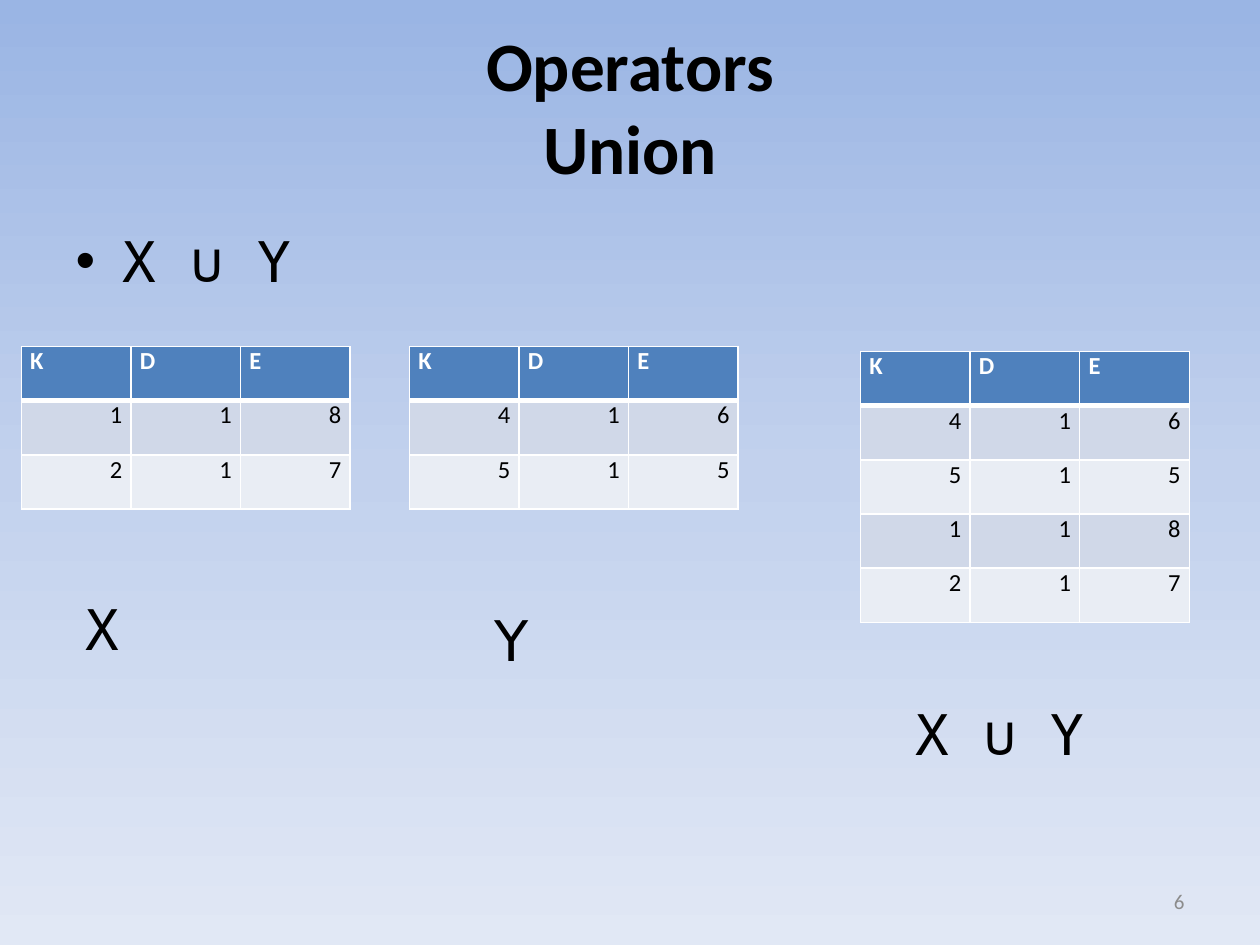
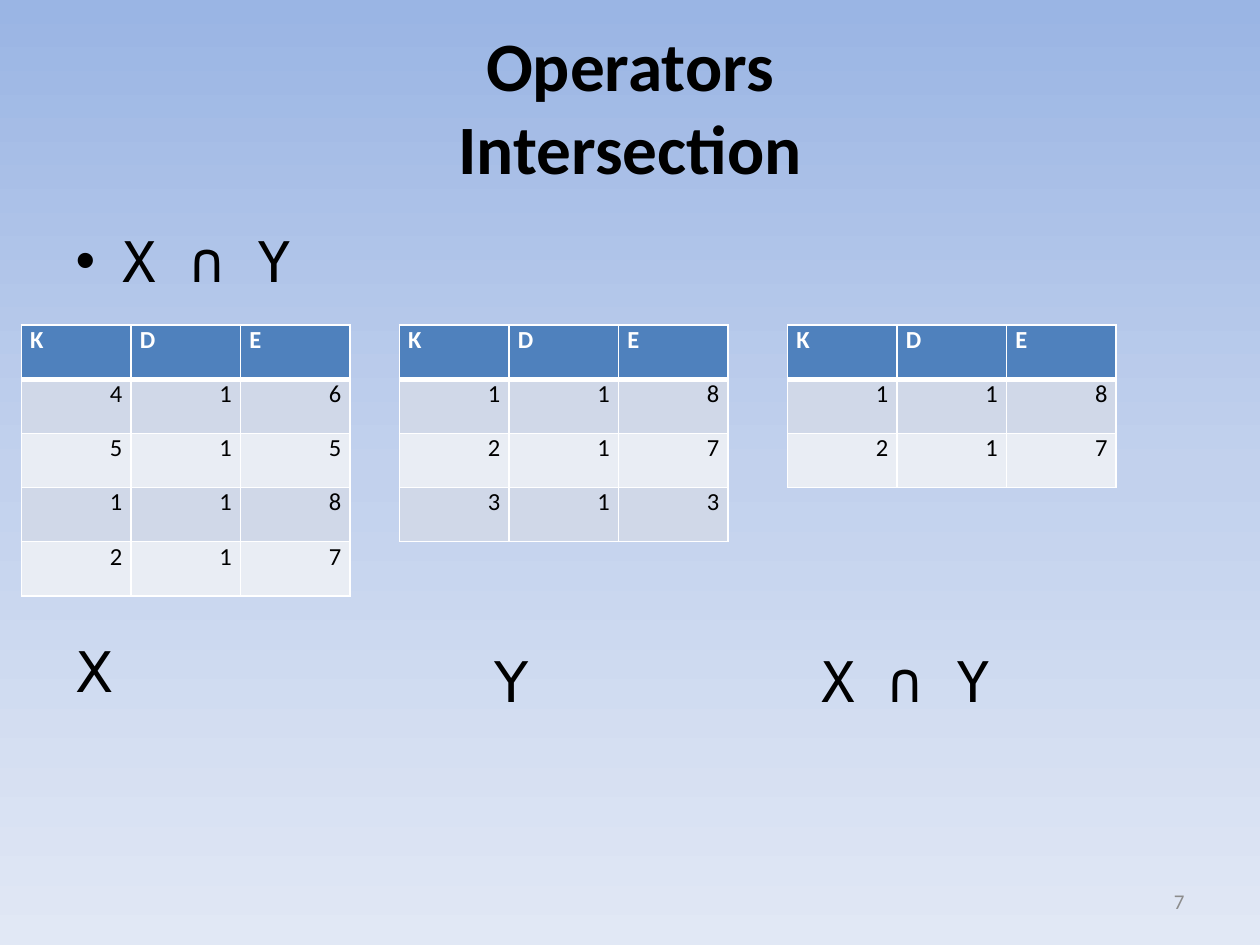
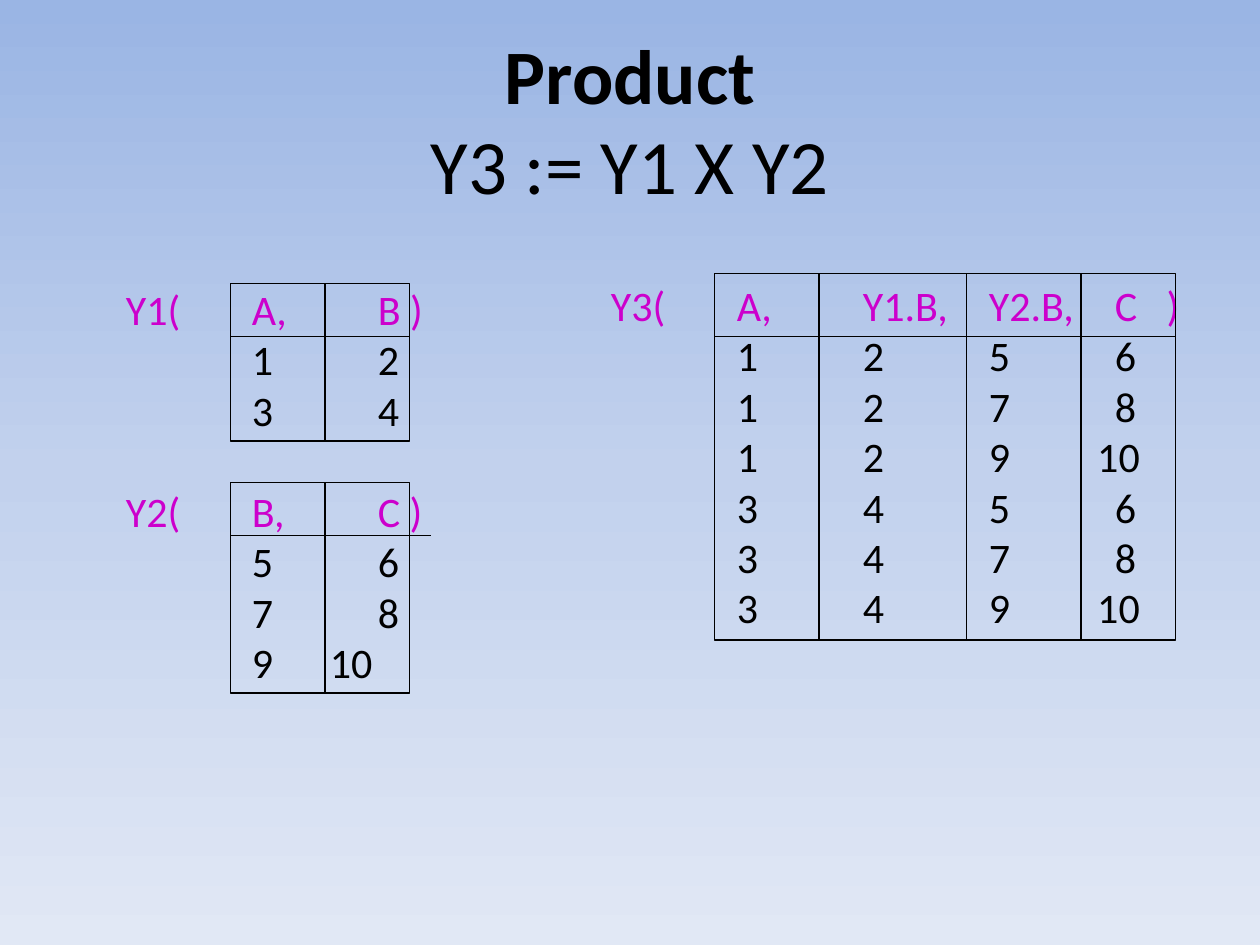
from copy import deepcopy

from lxml import etree
from pptx import Presentation
from pptx import util as u
from pptx.dml.color import RGBColor
from pptx.enum import shapes, text
from pptx.oxml.ns import qn

BLACK = RGBColor(0, 0, 0)
WHITE = RGBColor(0xFF, 0xFF, 0xFF)
GREY = RGBColor(0x8C, 0x8C, 0x8C)
MAGENTA = RGBColor(0xCC, 0x00, 0xCC)
HEADER_BLUE = RGBColor(0x4F, 0x81, 0xBD)
BANDS = [RGBColor(0xD0, 0xD8, 0xE8), RGBColor(0xE9, 0xED, 0xF4)]
SKY = [(0, RGBColor(0x9A, 0xB5, 0xE4)), (0.5, RGBColor(0xC2, 0xD1, 0xED)),
       (1, RGBColor(0xE1, 0xE8, 0xF5))]
SANS, MONO, SYMBOL = "Calibri", "DejaVu Sans Mono", "DejaVu Sans"
CENTER, RIGHT = text.PP_ALIGN.CENTER, text.PP_ALIGN.RIGHT
COLUMN, ROW = 0.87, 0.43

HEADER = ("K", "D", "E")
LOW = [(1, 1, 8), (2, 1, 7)]
HIGH = [(4, 1, 6), (5, 1, 5)]

# tables: left, top, rows; labels: text, left, top, width, font
OPERATORS = [
    {"title": "Operators\vUnion", "number": 6, "formula": "X ∪ Y",
     "tables": [(6.83, 2.79, HIGH + LOW), (0.17, 2.75, LOW), (3.25, 2.75, HIGH)],
     "labels": [("X ∪ Y", 7.17, 5.5, 2.17, MONO), ("Y", 3.83, 4.76, 1.33, SYMBOL),
                ("X", 0.58, 4.67, 1.58, MONO)]},
    {"title": "Operators\vIntersection", "number": 7, "formula": "X ∩ Y",
     "tables": [(0.17, 2.58, HIGH + LOW), (3.17, 2.58, LOW + [(3, 1, 3)]),
                (6.25, 2.58, LOW)],
     "labels": [("X", 0.5, 5, 1.33, SYMBOL), ("Y", 3.83, 5.08, 1.33, SYMBOL),
                ("X ∩ Y", 6.42, 5.08, 2.83, MONO)]},
]

# Each relation line: text, tab stops in inches, space before in points
PAIR_STOPS = (1, 2)
WIDE_STOPS = (1, 2, 3, 4)
TEN_STOPS = (1, 2, 3, 3.86)
FACTORS = [
    ("Y1(\tA,\tB )", PAIR_STOPS, 0), ("\t1\t2", PAIR_STOPS, 0),
    ("\t3\t4", PAIR_STOPS, 0), ("Y2(\tB,\tC )", PAIR_STOPS, 29),
    ("\t5\t6", PAIR_STOPS, 0), ("\t7\t8", PAIR_STOPS, 0), ("\t9\t10", (1, 1.62), 0),
]
PRODUCT = [("Y3(\tA,\tY1.B,\tY2.B,\tC\t)", WIDE_STOPS + (4.41,), 0)] + [
    (f"\t{a}\t{b}\t{b2}\t{c}", TEN_STOPS if c == 10 else WIDE_STOPS, 0)
    for a, b in [(1, 2), (3, 4)] for b2, c in [(5, 6), (7, 8), (9, 10)]]

# Each frame: left, top, right, bottom, header line y, its right end, column lines x
FACTOR_FRAMES = [(1.83, 2.25, 3.25, 3.5, 2.67, 3.25, [2.58]),
                 (1.83, 3.83, 3.25, 5.5, 4.25, 3.42, [2.58])]
PRODUCT_FRAME = (5.67, 2.17, 9.33, 5.08, 2.67, 9.33, [6.5, 7.67, 8.58])


def write(para, words, size=32, font=SANS, color=BLACK, bold=False, align=None):
    """Put words into a paragraph with one format."""
    para.text = words
    if align is not None:
        para.alignment = align
    for span in para.runs:
        span.font.size, span.font.name = u.Pt(size), font
        span.font.bold, span.font.color.rgb = bold, color


def place(shape, left, top, width, height):
    """Move a placeholder and stop it from shrinking its text."""
    shape.left, shape.top = u.Inches(left), u.Inches(top)
    shape.width, shape.height = u.Inches(width), u.Inches(height)
    shape.text_frame.auto_size = text.MSO_AUTO_SIZE.NONE
    return shape.text_frame.paragraphs[0]


def add_box(parent, left, top, width, height, middle=False):
    """Add a wrapping text box and return its text frame."""
    box = parent.add_textbox(*map(u.Inches, (left, top, width, height)))
    frame = box.text_frame
    frame.word_wrap = True
    if middle:
        frame.vertical_anchor = text.MSO_ANCHOR.MIDDLE
    return frame


def add_title(page, words, height, size):
    """Fill the title placeholder."""
    para = place(page.shapes.title, 0.5, 0.17, 9, height)
    write(para, words, size=size, bold=True, align=CENTER)


def paint_background(master):
    """Give the master its three-colour vertical gradient."""
    fill = master.background.fill
    fill.gradient()
    fill.gradient_angle = 270
    stop_list = master.element.find(".//" + qn("a:gsLst"))
    stop_list.append(deepcopy(stop_list[0]))
    for stop, (position, color) in zip(fill.gradient_stops, SKY):
        stop.position, stop.color.rgb = position, color


def set_borders(cell, top, bottom):
    """Draw white cell borders, with given top and bottom widths in points."""
    sides = (("L", 1), ("R", 1), ("T", top), ("B", bottom))
    properties = cell._tc.get_or_add_tcPr()
    for index, (side, width) in enumerate(sides):
        line = etree.Element(qn("a:ln" + side), w=str(u.Pt(width)))
        solid = etree.SubElement(line, qn("a:solidFill"))
        etree.SubElement(solid, qn("a:srgbClr"), val=str(WHITE))
        properties.insert(index, line)


def add_relation_table(page, left, top, rows):
    """Add a banded table with a K, D, E header."""
    rows = [HEADER] + rows
    size = (COLUMN * len(HEADER), ROW * len(rows))
    table = page.shapes.add_table(len(rows), len(HEADER),
                                  *map(u.Inches, (left, top) + size)).table
    for column in table.columns:
        column.width = u.Inches(COLUMN)
    for r, values in enumerate(rows):
        table.rows[r].height = u.Inches(ROW)
        for c, value in enumerate(values):
            cell = table.cell(r, c)
            cell.margin_left = cell.margin_right = u.Inches(0.07)
            cell.margin_top = cell.margin_bottom = 0
            cell.fill.solid()
            cell.fill.fore_color.rgb = BANDS[(r - 1) % 2] if r else HEADER_BLUE
            set_borders(cell, top=3 if r == 1 else 1, bottom=1 if r else 3)
            write(cell.text_frame.paragraphs[0], str(value), size=14, bold=r == 0,
                  color=BLACK if r else WHITE, align=RIGHT if r else None)


def add_line(parent, x1, y1, x2, y2):
    """Add a thin black line without shadow."""
    line = parent.add_connector(shapes.MSO_CONNECTOR.STRAIGHT,
                                *map(u.Inches, (x1, y1, x2, y2)))
    line.line.color.rgb, line.line.width = BLACK, u.Pt(0.75)
    etree.SubElement(line._element.spPr, qn("a:effectLst"))


def add_frame(parent, left, top, right, bottom):
    """Add an unfilled black rectangle."""
    frame = parent.add_shape(shapes.MSO_SHAPE.RECTANGLE,
                             *map(u.Inches, (left, top, right - left, bottom - top)))
    frame.shadow.inherit = False
    frame.fill.background()
    frame.line.color.rgb, frame.line.width = BLACK, u.Pt(0.75)


def add_relations(parent, lines, at, frames):
    """Write tabbed relations, then rule frames and lines over them."""
    frame = add_box(parent, *at)
    frame.word_wrap = False
    frame.auto_size = text.MSO_AUTO_SIZE.SHAPE_TO_FIT_TEXT
    for index, (words, stops, space) in enumerate(lines):
        para = frame.add_paragraph() if index else frame.paragraphs[0]
        write(para, words, size=24, color=MAGENTA if "(" in words else BLACK)
        if space:
            para.space_before = u.Pt(space)
        tabs = etree.SubElement(para._p.get_or_add_pPr(), qn("a:tabLst"))
        for stop in stops:
            etree.SubElement(tabs, qn("a:tab"), pos=str(u.Inches(stop)), algn="l")
    for left, top, right, bottom, *_ in frames:
        add_frame(parent, left, top, right, bottom)
    for left, top, right, bottom, rule, rule_end, columns in frames:
        add_line(parent, left, rule, rule_end, rule)
        for x in columns:
            add_line(parent, x, top, x, bottom)


def add_operator_page(deck, content):
    """Build a slide showing two operand tables and their result."""
    page = deck.slides.add_slide(deck.slide_layouts[1])
    add_title(page, content["title"], 1.33, 39.6)
    number = add_box(page.shapes, 7.17, 6.95, 2.33, 0.4, middle=True)
    write(number.paragraphs[0], str(content["number"]), size=12, color=GREY, align=RIGHT)
    write(place(page.placeholders[1], 0.5, 1.75, 8.58, 0.75), content["formula"], font=MONO)
    for table in content["tables"]:
        add_relation_table(page, *table)
    for words, left, top, width, font in content["labels"]:
        frame = add_box(page.shapes, left, top, width, 0.64)
        frame.auto_size = text.MSO_AUTO_SIZE.SHAPE_TO_FIT_TEXT
        write(frame.paragraphs[0], words, font=font)


def add_product_page(deck):
    """Build the slide with two factors and their product."""
    page = deck.slides.add_slide(deck.slide_layouts[5])
    add_title(page, "Product", 0.83, 44)
    formula = add_box(page.shapes, 0.75, 0.67, 8.5, 1.25, middle=True)
    write(formula.paragraphs[0], "Y3 := Y1 Χ Y2", size=44, align=CENTER)
    add_relations(page.shapes, FACTORS, (0.9, 2.2, 2.58, 3.33), FACTOR_FRAMES)
    group = page.shapes.add_group_shape()
    add_relations(group.shapes, PRODUCT, (4.75, 2.17, 4.75, 2.93), [PRODUCT_FRAME])


deck = Presentation()
deck.slide_width, deck.slide_height = u.Inches(10), u.Inches(7.5)
paint_background(deck.slide_master)
for operator in OPERATORS:
    add_operator_page(deck, operator)
add_product_page(deck)
deck.save("out.pptx")
